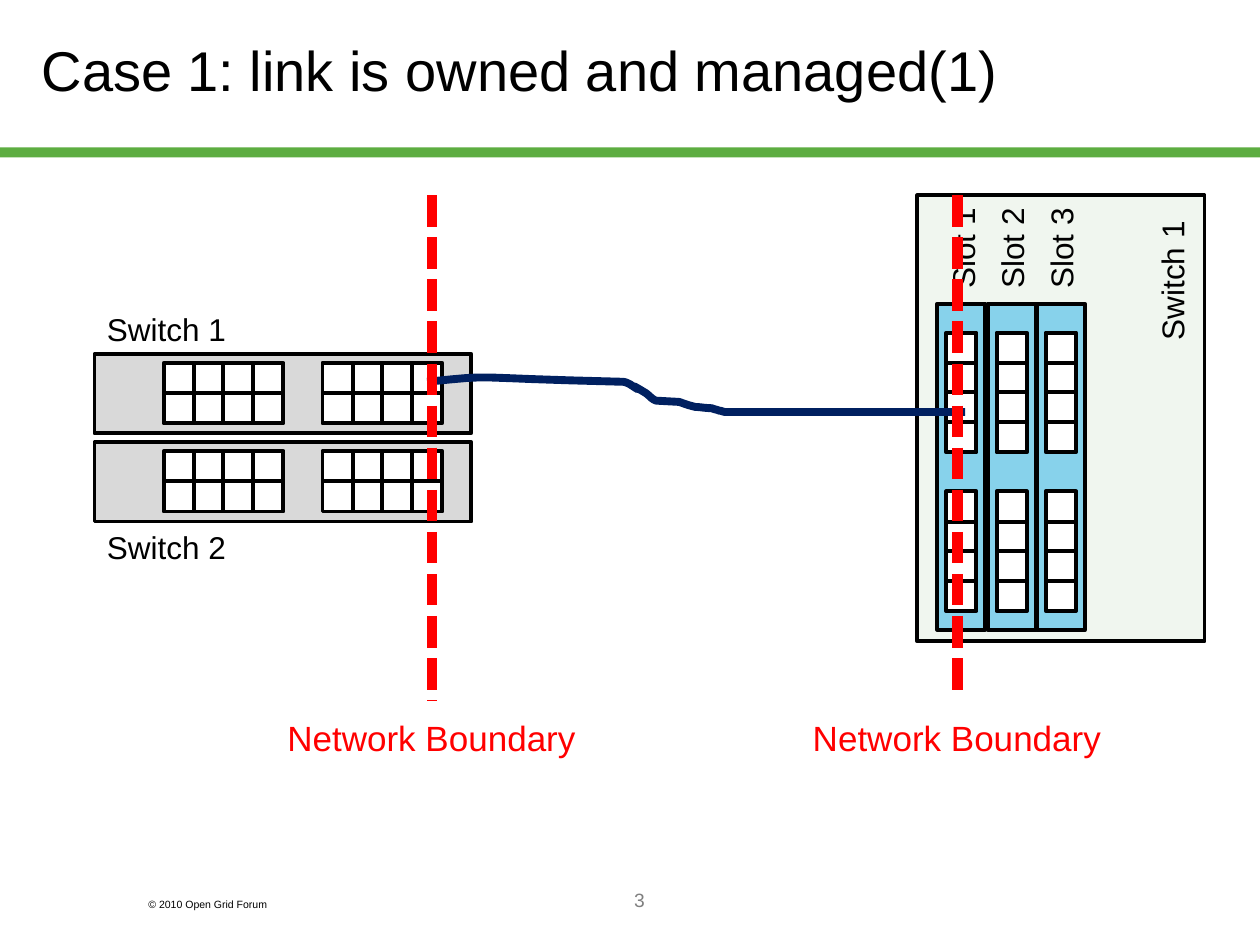
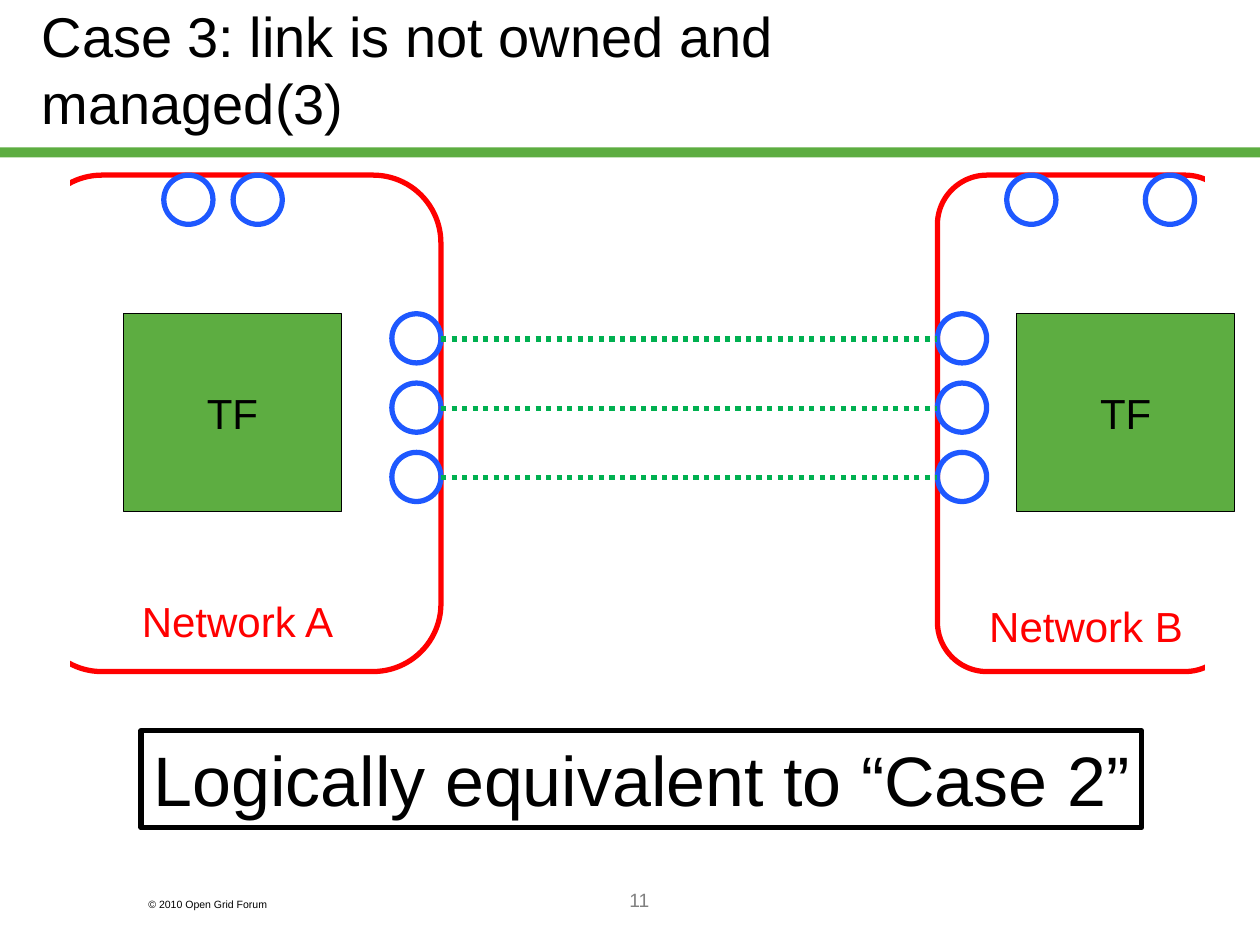
from pptx import Presentation
from pptx import util as u
from pptx.dml import color
from pptx.enum import dml, shapes, text
from pptx.oxml import ns
from lxml import etree

PX = 9144  # one px is a hundredth of an inch
COLOURS = {
    "black": "000000", "white": "FFFFFF", "grey": "808080", "green": "5DAD41",
    "mist": "F0F6EF", "steel": "D9D9D9", "sky": "87D2EB", "navy": "002060",
    "red": "FF0000", "blue": "1E58FF", "link": "00B050",
}
RECT = shapes.MSO_SHAPE.RECTANGLE
ROUND = shapes.MSO_SHAPE.ROUNDED_RECTANGLE
OVAL = shapes.MSO_SHAPE.OVAL
LEFT, CENTRE = text.PP_ALIGN.LEFT, text.PP_ALIGN.CENTER
TOP, MIDDLE, BOTTOM = (text.MSO_ANCHOR.TOP, text.MSO_ANCHOR.MIDDLE,
                       text.MSO_ANCHOR.BOTTOM)
PORT = 24
PORT_STEP = 71 / 3


# Shared helpers

def rgb(name):
    return color.RGBColor.from_string(COLOURS[name])


def px(*lengths):
    return [round(length * PX) for length in lengths]


def apply(target, **values):
    for name, value in values.items():
        setattr(target, name, value)


def set_line(line, name, points):
    line.color.rgb = rgb(name)
    line.width = u.Pt(points)


def write(shape, words, size, colour="black", align=LEFT, anchor=TOP, wrap=True):
    frame = shape.text_frame
    apply(frame, text=words, word_wrap=wrap, vertical_anchor=anchor,
          auto_size=text.MSO_AUTO_SIZE.NONE,
          margin_left=u.Inches(0.1), margin_right=u.Inches(0.1),
          margin_top=u.Inches(0.05), margin_bottom=u.Inches(0.05))
    para = frame.paragraphs[0]
    para.alignment = align
    span = para.runs[0]
    apply(span.font, name="Arial", size=u.Pt(size))
    span.font.color.rgb = rgb(colour)


def add_label(page, box, words, size, rotation=0, **options):
    label = page.shapes.add_textbox(*px(*box))
    label.rotation = rotation
    write(label, words, size, **options)
    return label


def add_box(page, box, fill=None, line=None, width=2.25, kind=RECT):
    shape = page.shapes.add_shape(kind, *px(*box))
    shape.shadow.inherit = False
    if fill:
        shape.fill.solid()
        shape.fill.fore_color.rgb = rgb(fill)
    else:
        shape.fill.background()
    if line:
        set_line(shape.line, line, width)
    else:
        shape.line.fill.background()
    return shape


def add_dashes(page, ends, colour, width, dash):
    line = page.shapes.add_connector(shapes.MSO_CONNECTOR.STRAIGHT, *px(*ends))
    set_line(line.line, colour, width)
    line.line.dash_style = dash
    etree.SubElement(line.element.spPr, ns.qn("a:effectLst"))


def add_page(deck, title, number):
    page = deck.slides.add_slide(deck.slide_layouts[5])
    heading = page.shapes.title
    left, top, width, height = px(23, 0, 850, 109)
    apply(heading, left=left, top=top, width=width, height=height)
    write(heading, title, 32, anchor=MIDDLE)
    add_label(page, (216, 700, 583, 50), number, 11, colour="grey", align=CENTRE)
    return page


def move_furniture_to_layout(page):
    """Draw the band and footer, and keep them on the layout of the page."""
    band = add_box(page, (0, 117, 1000, 8), fill="green")
    footer = add_label(page, (108, 708, 150, 20), "© 2010 Open Grid Forum", 6)
    for part in (band, footer):
        page.slide_layout.shapes.element.append(part.element)


# Case 1: switches joined by a cable

def draw_ports(page, left, top, columns, rows):
    for column in range(columns):
        for row in range(rows):
            add_box(page, (left + round(column * PORT_STEP),
                           top + round(row * PORT_STEP), PORT, PORT),
                    "white", "black")


def draw_flat_switch(page, box, name, label_top):
    left, top, width, height = box
    add_box(page, box, "steel", "black")
    for offset in (55, 181):
        draw_ports(page, left + offset, top + 7, 4, 2)
    add_label(page, (left, top + label_top, 114, 40), name, 18, wrap=False)


def draw_slot_switch(page, box):
    left, top, width, height = box
    add_box(page, box, "mist", "black")
    for index in range(3):
        slot_left = left + 16 + round(index * 39.5)
        add_box(page, (slot_left, top + 86, 38, 259), "sky", "black")
        for offset in (109, 235):
            draw_ports(page, slot_left + 7, top + offset, 1, 4)
        add_label(page, (left - 6 + index * 39, top + 22, 84, 40),
                  f"Slot {index + 1}", 18, rotation=270, wrap=False)
    add_label(page, (left + 143, top + 46, 118, 40), "Switch 1", 18, rotation=270)


def curve_points(start, first, second, end, steps=8):
    for step in range(1, steps + 1):
        t = step / steps
        weights = ((1 - t) ** 3, 3 * t * (1 - t) ** 2, 3 * t * t * (1 - t), t ** 3)
        knots = (start, first, second, end)
        yield tuple(px(*(sum(w * knot[axis] for w, knot in zip(weights, knots))
                         for axis in (0, 1))))


def draw_cable(page):
    # Each entry is two control points and an end, or an end alone
    pieces = [
        ((399, 297), (362, 300), (494, 303)), ((496, 303), (498, 304), (500, 305)),
        ((517, 316), (491, 299), (511, 311)), ((515, 313), (517, 317), (521, 318)),
        ((539, 319),), ((545, 321), (544, 321), (552, 323)),
        ((556, 323), (560, 324), (565, 324)), ((567, 325), (569, 325), (571, 326)),
        ((573, 326), (574, 327), (576, 327)), ((766, 327),),
    ]
    here = (339, 303)
    builder = page.shapes.build_freeform(*px(*here), scale=1.0)
    for piece in pieces:
        points = (curve_points(here, *piece) if len(piece) == 3
                  else [tuple(px(*piece[0]))])
        builder.add_line_segments(list(points), close=False)
        here = piece[-1]
    cable = builder.convert_to_shape()
    cable.shadow.inherit = False
    cable.fill.background()
    set_line(cable.line, "navy", 4.5)


def draw_boundary(page, x, bottom):
    add_dashes(page, (x, 155, x, bottom), "red", 6, dml.MSO_LINE.SQUARE_DOT)
    add_label(page, (x - 125, 564, 249, 44), "Network Boundary", 20,
              colour="red", align=CENTRE, wrap=False)


def build_owned_link(deck):
    page = add_page(deck, "Case 1: link is owned and managed(1)", "3")
    move_furniture_to_layout(page)
    draw_slot_switch(page, (728, 155, 228, 354))
    draw_flat_switch(page, (75, 281, 299, 63), "Switch 1", -40)
    draw_flat_switch(page, (75, 351, 299, 63), "Switch 2", 63)
    draw_cable(page)
    for x, bottom in ((343, 556), (760, 548)):
        draw_boundary(page, x, bottom)


# Case 3: two networks joined by dotted links

def draw_network(page, box, name, mask):
    outline = add_box(page, box, line="red", width=3, kind=ROUND)
    write(outline, name, 24, colour="red", align=CENTRE, anchor=BOTTOM)
    # The mask leaves the outer side of the network open
    add_box(page, mask, "white", "white", 0.75)


def draw_node(page, left, top):
    add_box(page, (left, top, 39, 39), line="blue", width=3, kind=OVAL)


def draw_function(page, left, top):
    block = add_box(page, (left, top, 173, 157), "green", "black", 0.75)
    write(block, "TF", 24, align=CENTRE, anchor=MIDDLE)


def build_unowned_link(deck):
    page = add_page(deck, "Case 3: link is not owned and managed(3)", "11")
    top, left_edge, right_edge = 139, 350, 744
    draw_network(page, (27, top, 323, 394), "Network A", (20, 139, 35, 441))
    draw_network(page, (right_edge, top, 236, 394), "Network B",
                 (957, 131, 35, 441))
    for left in (98, 807):
        draw_function(page, left, top + 110)
    for row in range(3):
        y = top + 110 + row * 55
        draw_node(page, left_edge - 39, y)
        draw_node(page, right_edge, y)
        add_dashes(page, (left_edge, y + 20, right_edge, y + 20), "link", 3,
                   dml.MSO_LINE.ROUND_DOT)
    for left in (130, 185, 799, 909):
        draw_node(page, left, top)
    remark = add_box(page, (112, 580, 794, 77), line="black", width=3)
    write(remark, "Logically equivalent to “Case 2”", 40, align=CENTRE, wrap=False)


def main():
    deck = Presentation()
    deck.slide_width, deck.slide_height = px(1000, 750)
    build_owned_link(deck)
    build_unowned_link(deck)
    deck.save("out.pptx")


if __name__ == "__main__":
    main()
